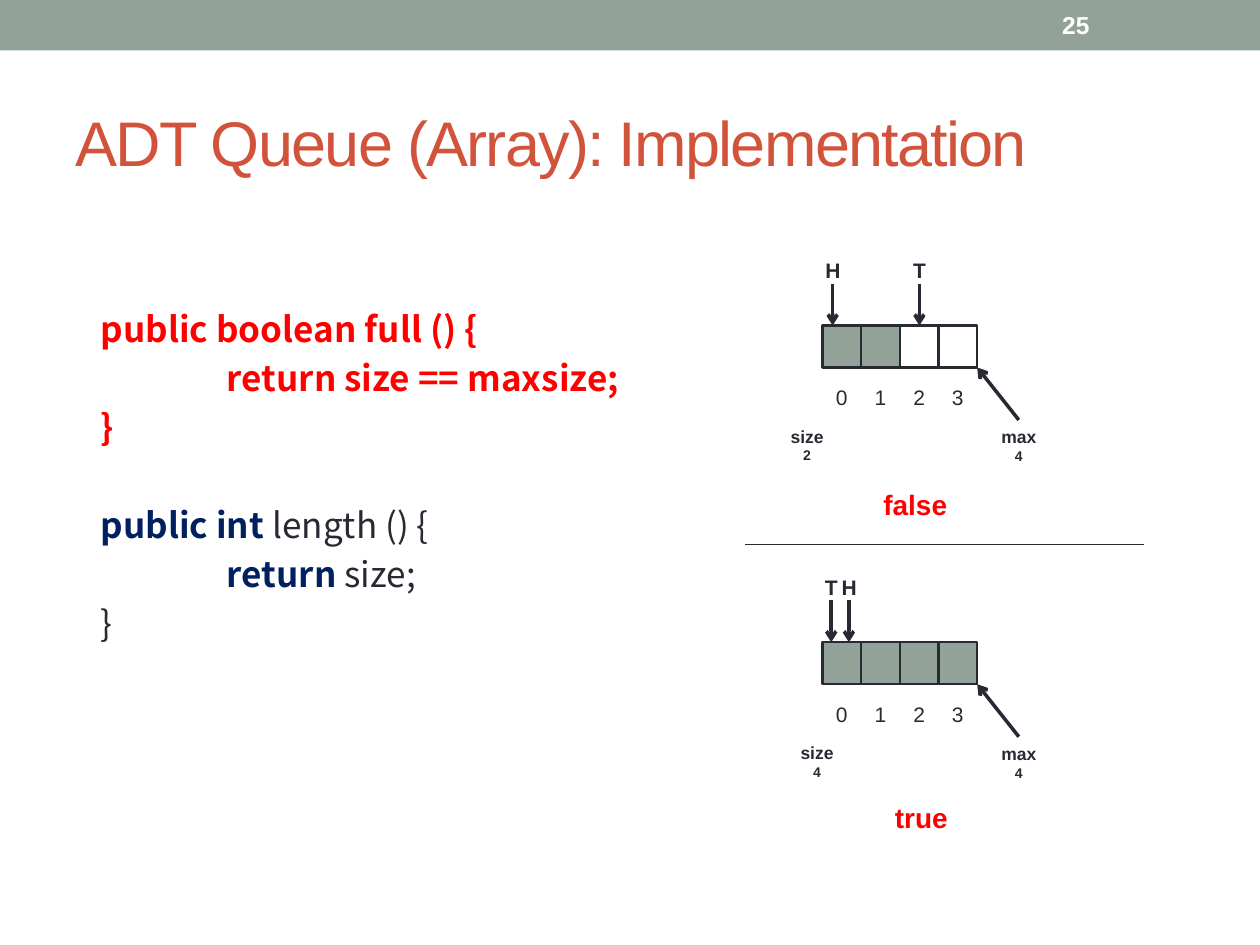
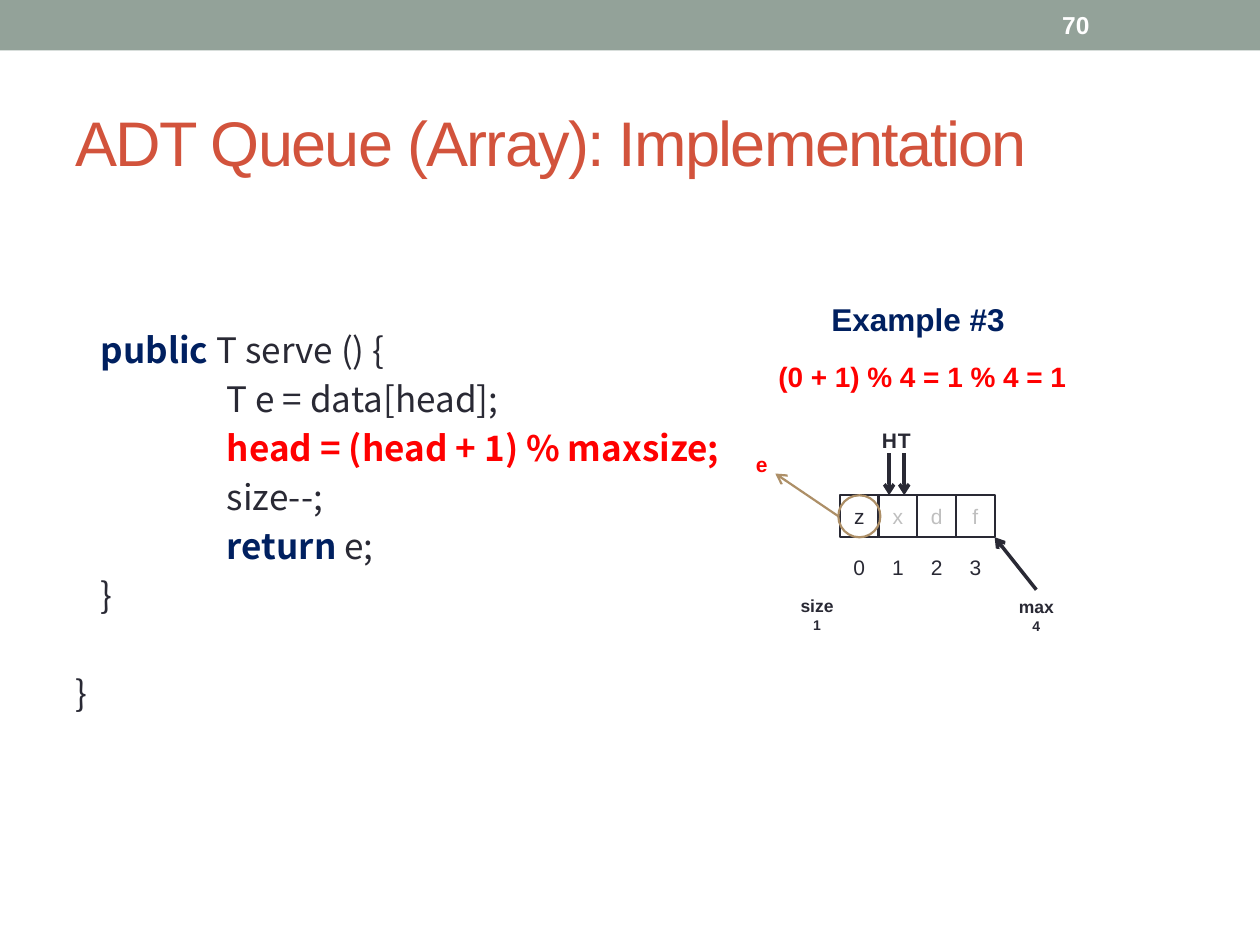
from lxml.etree import SubElement
from pptx import Presentation
from pptx.dml.color import RGBColor
from pptx.enum.shapes import MSO_CONNECTOR, MSO_SHAPE
from pptx.enum.text import MSO_ANCHOR, PP_ALIGN
from pptx.oxml.ns import qn
from pptx.util import Pt

COLOURS = {
    "ink": "292934", "sage": "93A299", "white": "FFFFFF", "title": "D2533C",
    "red": "FF0000", "navy": "002060", "grey": "BFBFBF", "tan": "AD8F67",
}
HEADING_FONT = "Arial"
CODE_FONT = "Noto Sans CJK SC"
TITLE = "ADT Queue (Array): Implementation"

CELL_WIDTH, CELL_HEIGHT = 22.1, 24
CODE_PITCH = 28
CODE_INDENTS = (0, 14.4, 86.4)
BOLD_COLOURS = ("red", "navy")

PAGES = [
    {
        "number": "25",
        "code_top": 171.5,
        "code": [
            (1, 0, [("public boolean full () {", "red")]),
            (2, 0, [("return size == maxsize;", "red")]),
            (1, 0, [("}", "red")]),
            (1, 1, [("public int ", "navy"), ("length () {", "ink")]),
            (2, 0, [("return ", "navy"), ("size;", "ink")]),
            (1, 0, [("}", "ink")]),
        ],
        "queues": [
            {"left": 470, "top": 186, "fills": ["sage", "sage", "white", "white"],
             "pointers": {"H": 5.8, "T": 55.4}, "size": "2", "size_center": -8.8},
            {"left": 470, "top": 367, "fills": ["sage"] * 4,
             "pointers": {"T": 5, "H": 15.1}, "size": "4", "size_center": -3.1},
        ],
        "notes": [("false", 523, 278.6, 16, "red"), ("true", 526.5, 457.2, 16, "red")],
        "divider": (426, 311, 654, 311),
    },
    {
        "number": "70",
        "code_top": 183.5,
        "code": [
            (1, 0, [("public ", "navy"), ("T serve () {", "ink")]),
            (2, 0, [("T e = data[head];", "ink")]),
            (2, 0, [("head = (head + 1) % maxsize;", "red")]),
            (2, 0, [("size--;", "ink")]),
            (2, 0, [("return ", "navy"), ("e;", "ink")]),
            (1, 0, [("}", "ink")]),
            (0, 1, [("}", "ink")]),
        ],
        "queues": [
            {"left": 480, "top": 283, "fills": ["white"] * 4,
             "values": [("z", "ink"), ("x", "grey"), ("d", "grey"), ("f", "grey")],
             "pointers": {"H": 28.1, "T": 36.7}, "size": "1", "size_center": -13.1,
             "served": 0},
        ],
        "notes": [
            ("e", 435.3, 257.8, 12, "red"),
            ("(0 + 1) % 4 = 1 % 4 = 1", 527.1, 205.2, 16, "red"),
            ("Example #3", 524.6, 171.4, 18, "navy"),
        ],
    },
]


def colour(name):
    return RGBColor.from_string(COLOURS[name])


def style_font(font, size, name, bold=False, family=HEADING_FONT):
    font.size = Pt(size)
    font.name = family
    font.bold = bold
    font.color.rgb = colour(name)


def add_text_box(page, left, top, width, height):
    box = page.shapes.add_textbox(Pt(left), Pt(top), Pt(width), Pt(height))
    frame = box.text_frame
    frame.margin_left = frame.margin_right = frame.margin_top = frame.margin_bottom = 0
    return frame


def add_label(page, lines, center, top, name="ink", bold=True):
    width = max(len(text) * size * 0.7 for text, size in lines)
    height = sum(size * 1.15 for _, size in lines)
    frame = add_text_box(page, center - width / 2, top, width, height)
    frame.word_wrap = False
    for index, (text, size) in enumerate(lines):
        para = frame.add_paragraph() if index else frame.paragraphs[0]
        para.text = text
        para.alignment = PP_ALIGN.CENTER
        style_font(para.font, size, name, bold)


def add_block(page, kind, left, top, width, height, fill=None, line=None):
    block = page.shapes.add_shape(kind, Pt(left), Pt(top), Pt(width), Pt(height))
    block.shadow.inherit = False
    if fill:
        block.fill.solid()
        block.fill.fore_color.rgb = colour(fill)
    else:
        block.fill.background()
    if line:
        block.line.color.rgb = colour(line)
        block.line.width = Pt(1.25)
    else:
        block.line.fill.background()
    return block


def add_line(page, ends, name="ink", width=2.0, arrow=True):
    connector = page.shapes.add_connector(MSO_CONNECTOR.STRAIGHT, *map(Pt, ends))
    connector.line.color.rgb = colour(name)
    connector.line.width = Pt(width)
    if arrow:
        SubElement(connector.line._get_or_add_ln(), qn("a:tailEnd"), type="arrow")
    SubElement(connector._element.spPr, qn("a:effectLst"))


def add_frame(page, number):
    add_block(page, MSO_SHAPE.RECTANGLE, 0, 0, 720, 28.8, "sage")
    title = page.shapes.title
    title.left, title.top, title.width, title.height = Pt(36), Pt(42), Pt(648), Pt(78)
    title.text_frame.text = TITLE
    title.text_frame.vertical_anchor = MSO_ANCHOR.MIDDLE
    para = title.text_frame.paragraphs[0]
    para.alignment = PP_ALIGN.LEFT
    style_font(para.font, 36, "title")
    para.runs[0].font._element.set("spc", "-100")
    frame = add_text_box(page, 607, 1.4, 77, 26)
    frame.vertical_anchor = MSO_ANCHOR.MIDDLE
    frame.text = number
    style_font(frame.paragraphs[0].font, 14, "white", True)


def add_code(page, lines, top):
    frame = add_text_box(page, 43.2, top, 400, CODE_PITCH * (len(lines) + 1))
    frame.word_wrap = True
    for index, (level, blank_lines, spans) in enumerate(lines):
        para = frame.add_paragraph() if index else frame.paragraphs[0]
        para._p.get_or_add_pPr().set("marL", str(Pt(CODE_INDENTS[level])))
        para.line_spacing = Pt(CODE_PITCH)
        if blank_lines:
            para.space_before = Pt(CODE_PITCH * blank_lines)
        for text, name in spans:
            span = para.add_run()
            span.text = text
            style_font(span.font, 20, name, name in BOLD_COLOURS, CODE_FONT)


def add_queue(page, queue):
    left, top = queue["left"], queue["top"]
    values = queue.get("values")
    for index, fill in enumerate(queue["fills"]):
        cell_left = left + index * CELL_WIDTH
        cell = add_block(page, MSO_SHAPE.RECTANGLE, cell_left, top,
                         CELL_WIDTH, CELL_HEIGHT, fill, "ink")
        if values:
            text, name = values[index]
            frame = cell.text_frame
            frame.margin_left = frame.margin_right = 0
            frame.text = text
            frame.vertical_anchor = MSO_ANCHOR.MIDDLE
            frame.paragraphs[0].alignment = PP_ALIGN.CENTER
            style_font(frame.paragraphs[0].font, 12, name)
        add_label(page, [(str(index), 12)], cell_left + CELL_WIDTH / 2, top + 33.9, bold=False)
    for letter, offset in queue["pointers"].items():
        x = left + offset
        add_label(page, [(letter, 12)], x, top - 38.9)
        add_line(page, (x, top - 24, x, top))
    add_label(page, [("size", 10), (queue["size"], 8)], left + queue["size_center"], top + 57.2)
    add_label(page, [("max", 10), ("4", 8)], left + 112.2, top + 57.6)
    add_line(page, (left + 112.2, top + 54, left + 4 * CELL_WIDTH, top + CELL_HEIGHT))
    if "served" in queue:
        ring_left = left + (queue["served"] + 0.5) * CELL_WIDTH - CELL_HEIGHT / 2
        add_block(page, MSO_SHAPE.OVAL, ring_left, top, CELL_HEIGHT, CELL_HEIGHT, line="tan")
        middle = top + CELL_HEIGHT / 2
        add_line(page, (ring_left, middle, ring_left - 36, middle - 24.4), "tan", 1.25)


def main():
    deck = Presentation()
    deck.slide_width, deck.slide_height = Pt(720), Pt(540)
    for content in PAGES:
        page = deck.slides.add_slide(deck.slide_layouts[5])
        add_frame(page, content["number"])
        add_code(page, content["code"], content["code_top"])
        for queue in content["queues"]:
            add_queue(page, queue)
        for text, center, top, size, name in content["notes"]:
            add_label(page, [(text, size)], center, top, name)
        if "divider" in content:
            add_line(page, content["divider"], width=0.75, arrow=False)
    deck.save("out.pptx")


if __name__ == "__main__":
    main()
